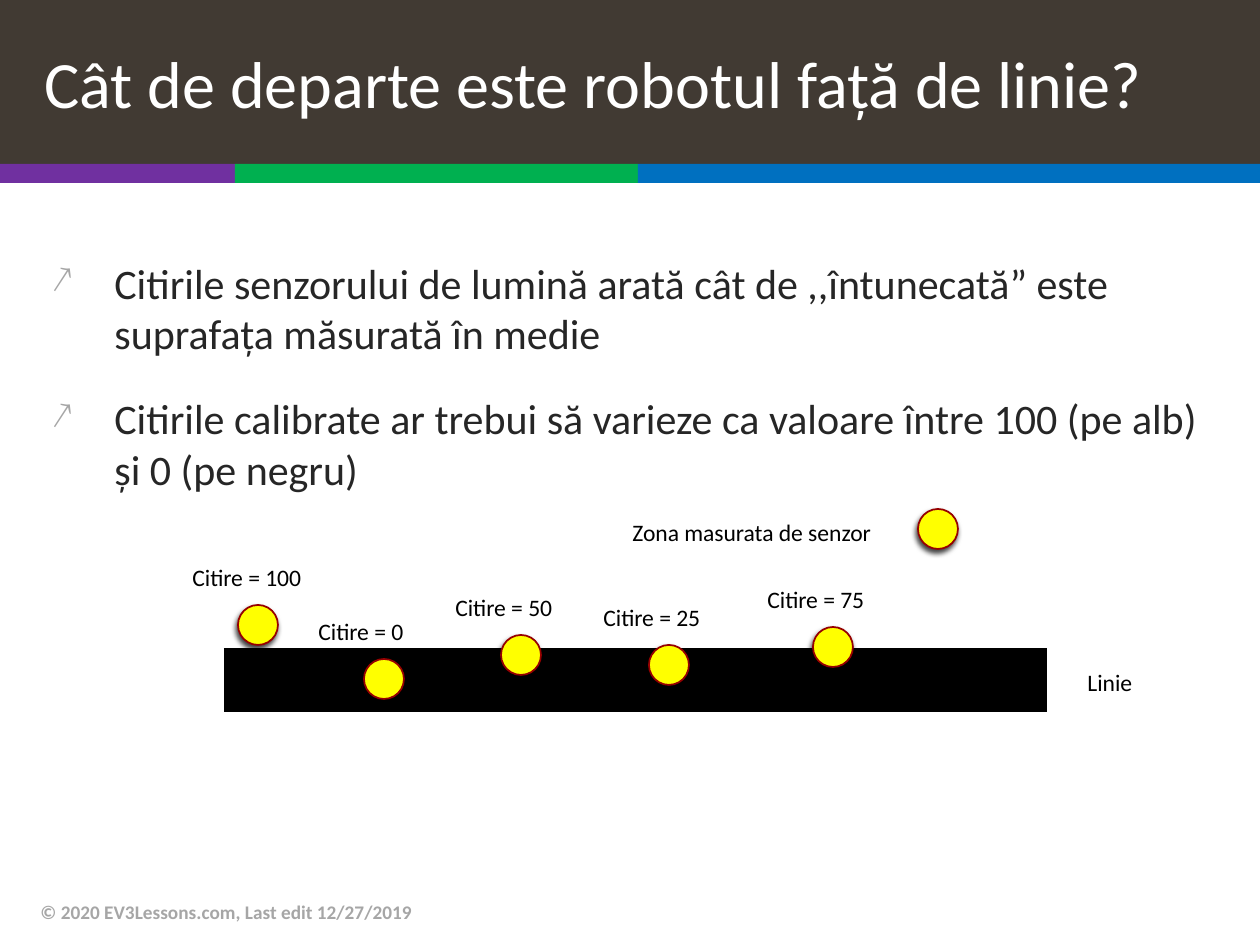
import pptx
import pptx.util
import pptx.dml.color
import pptx.enum.shapes
import pptx.enum.text
import pptx.oxml
import pptx.oxml.ns

# Content
TITLE = "Cât de departe este robotul față de linie?"
POINTS = [
    "Citirile senzorului de lumină arată cât de ,,întunecată” este suprafața măsurată în medie",
    "Citirile calibrate ar trebui să varieze ca valoare între 100 (pe alb) și 0 (pe negru)",
]
FOOTER = "© 2020 EV3Lessons.com, Last edit 12/27/2019"
BANDS = [("purple", 0, 235), ("green", 235, 638), ("blue", 638, 1260)]
# Reading, left and top of its spot, width of its label
SPOTS = [
    (100, 238, 605, 136),
    (0, 364, 659, 112),
    (50, 501, 635, 123),
    (25, 649, 645, 123),
    (75, 813, 627, 123),
]
# Text, left, top, width
NOTES = [("Zona masurata de senzor", 620, 512, 268), ("Linie", 1075, 662, 71)]
KEY = (918, 509)

COLORS = {
    "purple": "7030A0", "green": "00B050", "blue": "0070C0",
    "brown": "413A33", "white": "FFFFFF", "black": "000000",
    "text": "262626", "gray": "A6A6A6", "yellow": "FFFF00", "red": "960000",
}
FONT = "Calibri"
SCALE = 914400 / 126
SPOT = 40
NS = pptx.oxml.ns.nsdecls("a")
KINDS = pptx.enum.shapes.MSO_SHAPE
MIDDLE = pptx.enum.text.MSO_ANCHOR.MIDDLE


def px(num):
    return pptx.util.Emu(round(num * SCALE))


def rgb(name):
    return pptx.dml.color.RGBColor.from_string(COLORS[name])


def add_xml(node, text):
    node.append(pptx.oxml.parse_xml(text))


def style(para, size, color, bold=False):
    for run in para.runs:
        font = run.font
        font.name, font.size, font.bold = FONT, pptx.util.Pt(size), bold
        font.color.rgb = rgb(color)


def add_box(slide, left, top, width, height, wrap=True):
    box = slide.shapes.add_textbox(px(left), px(top), px(width), px(height))
    box.text_frame.word_wrap = wrap
    return box.text_frame


def add_label(slide, text, left, top, width):
    frame = add_box(slide, left, top, width, 42, wrap=False)
    frame.auto_size = pptx.enum.text.MSO_AUTO_SIZE.SHAPE_TO_FIT_TEXT
    frame.text = text
    style(frame.paragraphs[0], 13.5, "black")


def add_shape(slide, kind, left, top, width, height, color):
    shape = slide.shapes.add_shape(kind, px(left), px(top), px(width), px(height))
    shape.shadow.inherit = False
    shape.fill.solid()
    shape.fill.fore_color.rgb = rgb(color)
    shape.line.fill.background()
    return shape


def add_spot(slide, left, top):
    spot = add_shape(slide, KINDS.OVAL, left, top, SPOT, SPOT, "yellow")
    spot.line.color.rgb = rgb("red")
    spot.line.width = pptx.util.Pt(1)
    effects = spot.element.spPr.find(pptx.oxml.ns.qn("a:effectLst"))
    add_xml(effects, f'<a:outerShdw {NS} blurRad="38100" dist="25400" dir="6600000" '
            f'rotWithShape="0"><a:srgbClr val="{COLORS["black"]}">'
            '<a:alpha val="75000"/></a:srgbClr></a:outerShdw>')


def add_bullet(para):
    props = para._p.get_or_add_pPr()
    props.set("marL", "457200")
    props.set("indent", "-457200")
    add_xml(props, f'<a:buClr {NS}><a:srgbClr val="{COLORS["gray"]}"/></a:buClr>')
    add_xml(props, f'<a:buSzPct {NS} val="90000"/>')
    add_xml(props, f'<a:buChar {NS} char="↗"/>')


def main():
    deck = pptx.Presentation()
    deck.slide_width, deck.slide_height = px(1260), px(945)
    slide = deck.slides.add_slide(deck.slide_layouts[5])

    # Title bar
    title = slide.shapes.title
    title.left, title.top, title.width, title.height = px(0), px(0), px(1260), px(164)
    title.fill.solid()
    title.fill.fore_color.rgb = rgb("brown")
    frame = title.text_frame
    frame.text = TITLE
    frame.vertical_anchor = MIDDLE
    para = frame.paragraphs[0]
    para.alignment = pptx.enum.text.PP_ALIGN.LEFT
    para._p.get_or_add_pPr().set("marL", "228600")
    style(para, 37.8, "white")

    # Colour bands
    for color, left, right in BANDS:
        add_shape(slide, KINDS.RECTANGLE, left, 164, right - left, 19, color)

    # Bullet points
    frame = add_box(slide, 39, 251, 1182, 593)
    for i, text in enumerate(POINTS):
        para = frame.add_paragraph() if i else frame.paragraphs[0]
        para.text = text
        if i:
            para.space_before = pptx.util.Pt(20)
        add_bullet(para)
        style(para, 24, "text")

    # Footer
    frame = add_box(slide, 28, 887, 844, 50)
    frame.vertical_anchor = MIDDLE
    frame.text = FOOTER
    style(frame.paragraphs[0], 11, "gray", bold=True)

    # Black line on the floor
    track = slide.shapes.add_connector(
        pptx.enum.shapes.MSO_CONNECTOR.STRAIGHT, px(224), px(680), px(1047), px(680))
    track.line.color.rgb = rgb("black")
    track.line.width = pptx.util.Pt(36.75)
    add_xml(track.element.spPr, f"<a:effectLst {NS}/>")

    # Sensor spots and their readings
    add_spot(slide, *KEY)
    for note in NOTES:
        add_label(slide, *note)
    for value, left, top, width in SPOTS:
        add_spot(slide, left, top)
        add_label(slide, f"Citire = {value}", left - 58, top - 48, width)

    deck.save("out.pptx")


if __name__ == "__main__":
    main()
